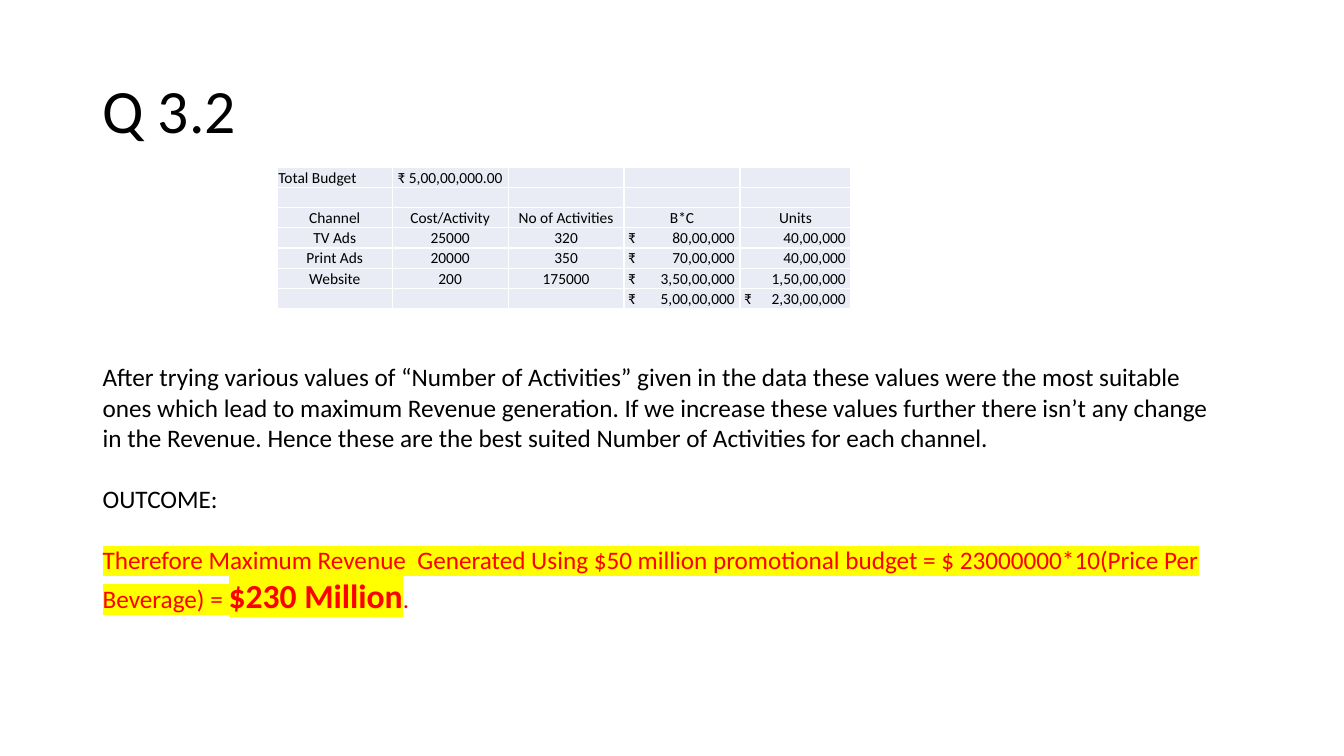
from lxml.etree import SubElement
from pptx import Presentation
from pptx.dml.color import RGBColor
from pptx.enum.text import MSO_ANCHOR, PP_ALIGN
from pptx.oxml import parse_xml
from pptx.oxml.ns import nsdecls, qn
from pptx.util import Inches, Pt

FONT = "Calibri"
BLACK, WHITE, RED, YELLOW = "000000", "FFFFFF", "FF0000", "FFFF00"
PALE = "E9EBF5"
COLS = [1.14, 1.15, 1.15, 1.15, 1.1]
ROW = 0.2
BUDGET = [
    ["Total Budget", "₹ 5,00,00,000.00", "", "", ""],
    ["", "", "", "", ""],
    ["Channel", "Cost/Activity", "No of Activities", "B*C", "Units"],
    ["TV Ads", "25000", "320", "₹\t80,00,000", "40,00,000"],
    ["Print Ads", "20000", "350", "₹\t70,00,000", "40,00,000"],
    ["Website", "200", "175000", "₹\t3,50,00,000", "1,50,00,000"],
    ["", "", "", "₹\t5,00,00,000", "₹\t2,30,00,000"],
]
REASON = (
    "After trying various values of “Number of Activities” given in the data "
    "these values were the most suitable ones which lead to maximum Revenue "
    "generation. If we increase these values further there isn’t any change in "
    "the Revenue. Hence these are the best suited Number of Activities for each "
    "channel."
)
RESULT = (
    "Therefore Maximum Revenue  Generated Using $50 million promotional budget "
    "= $ 23000000*10(Price Per Beverage) = "
)


def color(code):
    return RGBColor.from_string(code)


def style(run, size, code=BLACK, bold=False):
    font = run.font
    font.name, font.size, font.bold = FONT, Pt(size), bold
    font.color.rgb = color(code)


def mark(run, code):
    """Highlight a run that already has its font colour."""
    fill = run.font._element.find(qn("a:solidFill"))
    fill.addnext(parse_xml(
        f'<a:highlight {nsdecls("a")}><a:srgbClr val="{code}"/></a:highlight>'))


def add_box(slide, x, y, w, h):
    box = slide.shapes.add_textbox(Inches(x), Inches(y), Inches(w), Inches(h))
    box.text_frame.word_wrap = True
    return box.text_frame


def add_title(slide, x, y, w, h):
    frame = add_box(slide, x, y, w, h)
    frame.vertical_anchor = MSO_ANCHOR.MIDDLE
    frame.text = "Q 3.2"
    para = frame.paragraphs[0]
    para.line_spacing = 0.9
    style(para.runs[0], 44)


def add_rules(cell):
    """Draw white lines on all four sides of a cell."""
    props = cell._tc.get_or_add_tcPr()
    for spot, side in enumerate(("lnL", "lnR", "lnT", "lnB")):
        props.insert(spot, parse_xml(
            f'<a:{side} {nsdecls("a")} w="{Pt(1)}"><a:solidFill>'
            f'<a:srgbClr val="{WHITE}"/></a:solidFill></a:{side}>'))


def set_tab(para, width):
    stops = SubElement(para._p.get_or_add_pPr(), qn("a:tabLst"))
    SubElement(stops, qn("a:tab"), pos=str(Inches(width)), algn="r")


def fill_cell(cell, text, row, col):
    cell.fill.solid()
    cell.fill.fore_color.rgb = color(PALE)
    add_rules(cell)
    cell.vertical_anchor = MSO_ANCHOR.BOTTOM
    cell.margin_left = cell.margin_right = cell.margin_top = Inches(0.01)
    cell.margin_bottom = 0
    cell.text = text
    para = cell.text_frame.paragraphs[0]
    if not text:
        SubElement(para._p, qn("a:endParaRPr"), sz="1100")
    elif "\t" in text:
        cell.margin_left = Inches(0.04)
        set_tab(para, COLS[col] - 0.09)
    elif col == 4 and row > 2:
        cell.margin_right = Inches(0.05)
        para.alignment = PP_ALIGN.RIGHT
    elif row or col:
        para.alignment = PP_ALIGN.CENTER
    for run in para.runs:
        style(run, 11)


def add_budget(slide, x, y):
    frame = slide.shapes.add_table(
        len(BUDGET), len(COLS), Inches(x), Inches(y),
        Inches(sum(COLS)), Inches(ROW * len(BUDGET)))
    table = frame.table
    table.first_row = table.horz_banding = False
    for col, width in enumerate(COLS):
        table.columns[col].width = Inches(width)
    for row, texts in enumerate(BUDGET):
        table.rows[row].height = Inches(ROW)
        for col, text in enumerate(texts):
            fill_cell(table.cell(row, col), text, row, col)


def add_answer(slide, x, y, w, h):
    frame = add_box(slide, x, y, w, h)
    frame.text = "\n".join([REASON, "OUTCOME:", RESULT])
    for para in frame.paragraphs:
        style(para.runs[0], 18)
    for para in frame.paragraphs[1:]:
        para.space_before = Pt(22)
    last = frame.paragraphs[-1]
    for text in ("$230 Million", "."):
        last.add_run().text = text
    claim, total, stop = last.runs
    style(claim, 18, RED)
    style(total, 24, RED, True)
    style(stop, 18, RED)
    for run in (claim, total):
        mark(run, YELLOW)


def main():
    deck = Presentation()
    deck.slide_width, deck.slide_height = Inches(13.33), Inches(7.5)
    slide = deck.slides.add_slide(deck.slide_layouts[6])
    add_title(slide, 0.92, 0.4, 11.5, 1.45)
    add_budget(slide, 2.75, 1.66)
    add_answer(slide, 0.92, 3.54, 11.34, 2.63)
    deck.save("out.pptx")


if __name__ == "__main__":
    main()
